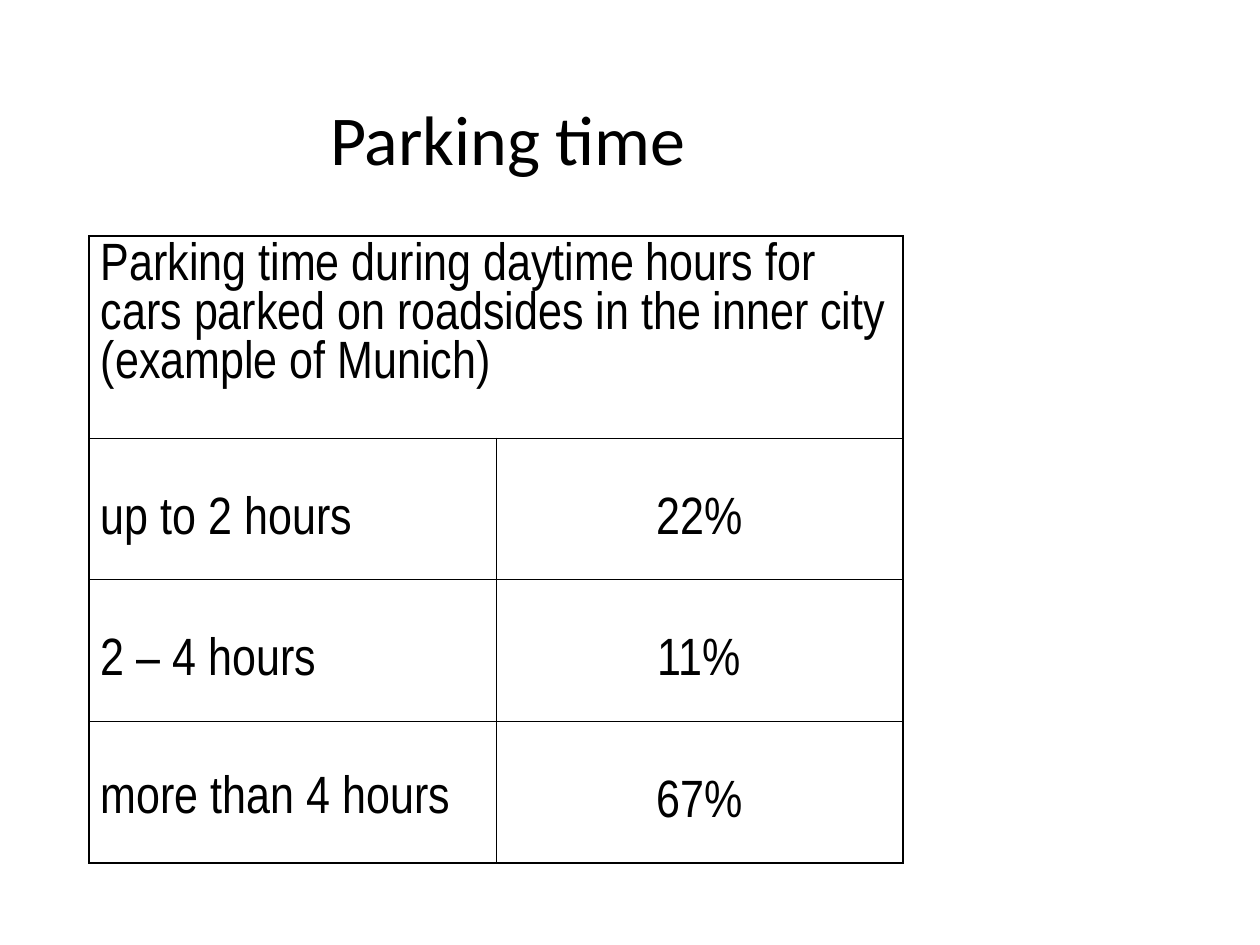
from dataclasses import dataclass

from lxml import etree
from pptx import Presentation
from pptx.dml.color import RGBColor
from pptx.enum.text import MSO_ANCHOR, PP_ALIGN
from pptx.oxml.ns import qn
from pptx.util import Pt

LEFT, CENTER = PP_ALIGN.LEFT, PP_ALIGN.CENTER
MIDDLE, TOP = MSO_ANCHOR.MIDDLE, MSO_ANCHOR.TOP


@dataclass(frozen=True)
class Theme:
    ink: str = "000000"
    head: str = "Calibri"
    body: str = "Arial Narrow"
    head_size: int = 40
    body_size: int = 30
    outer: float = 1.08
    inner: float = 0.45


THEME = Theme()

# Content: label, share, and the top margin of each cell in px
TITLE = "Parking time"
CAPTION = ("Parking time during daytime hours for cars parked on roadsides "
           "in the inner city (example of Munich)")
TIMES = [
    ("up to 2 hours", "22%", 58, 58),
    ("2 – 4 hours", "11%", 58, 58),
    ("more than 4 hours", "67%", 54, 58),
]

# Layout in px
SLIDE = (1260, 945)
TITLE_BOX = (88, 59, 840, 157)
TABLE_AT = (89, 236)
COLS = [407, 407]
ROWS = [202, 141, 142, 142]
PAD_X, PAD_Y = 12, 6


def px(n):
    return round(n * 914400 / 126)


def write(frame, text, font, size, align):
    para = frame.paragraphs[0]
    para.alignment = align
    run = para.add_run()
    run.text = text
    run.font.name = font
    run.font.size = Pt(size)
    run.font.color.rgb = RGBColor.from_string(THEME.ink)


def border(cell, row, col, span):
    edges = {
        "a:lnL": col == 0,
        "a:lnR": col + span == len(COLS),
        "a:lnT": row == 0,
        "a:lnB": row == len(ROWS) - 1,
    }
    props = cell._tc.get_or_add_tcPr()
    for spot, (tag, edge) in enumerate(edges.items()):
        line = etree.Element(qn(tag))
        line.set("w", str(Pt(THEME.outer if edge else THEME.inner)))
        fill = etree.SubElement(line, qn("a:solidFill"))
        etree.SubElement(fill, qn("a:srgbClr")).set("val", THEME.ink)
        props.insert(spot, line)


def fill_cell(cell, text, align, top):
    cell.margin_left = cell.margin_right = px(PAD_X)
    cell.margin_top, cell.margin_bottom = px(top), px(PAD_Y)
    cell.vertical_anchor = TOP
    write(cell.text_frame, text, THEME.body, THEME.body_size, align)


def add_title(slide):
    box = slide.shapes.add_textbox(*map(px, TITLE_BOX))
    frame = box.text_frame
    frame.word_wrap = True
    frame.vertical_anchor = MIDDLE
    write(frame, TITLE, THEME.head, THEME.head_size, CENTER)


def add_times(slide):
    size = (sum(COLS), sum(ROWS))
    table = slide.shapes.add_table(
        len(ROWS), len(COLS), *map(px, TABLE_AT + size)).table
    table.first_row = table.horz_banding = False
    for col, width in zip(table.columns, COLS):
        col.width = px(width)
    for row, height in zip(table.rows, ROWS):
        row.height = px(height)

    # Caption across the first row
    table.cell(0, 0).merge(table.cell(0, len(COLS) - 1))
    fill_cell(table.cell(0, 0), CAPTION, LEFT, PAD_Y)

    # One row for each parking time
    for row, (label, share, label_top, share_top) in enumerate(TIMES, 1):
        fill_cell(table.cell(row, 0), label, LEFT, label_top)
        fill_cell(table.cell(row, 1), share, CENTER, share_top)

    # Clear fills, heavy frame, thin inner lines
    for row in range(len(ROWS)):
        for col in range(len(COLS)):
            cell = table.cell(row, col)
            cell.fill.background()
            span = cell.span_width if cell.is_merge_origin else 1
            border(cell, row, col, span)


def main():
    deck = Presentation()
    deck.slide_width, deck.slide_height = map(px, SLIDE)
    slide = deck.slides.add_slide(deck.slide_layouts[6])
    add_title(slide)
    add_times(slide)
    deck.save("out.pptx")


if __name__ == "__main__":
    main()
